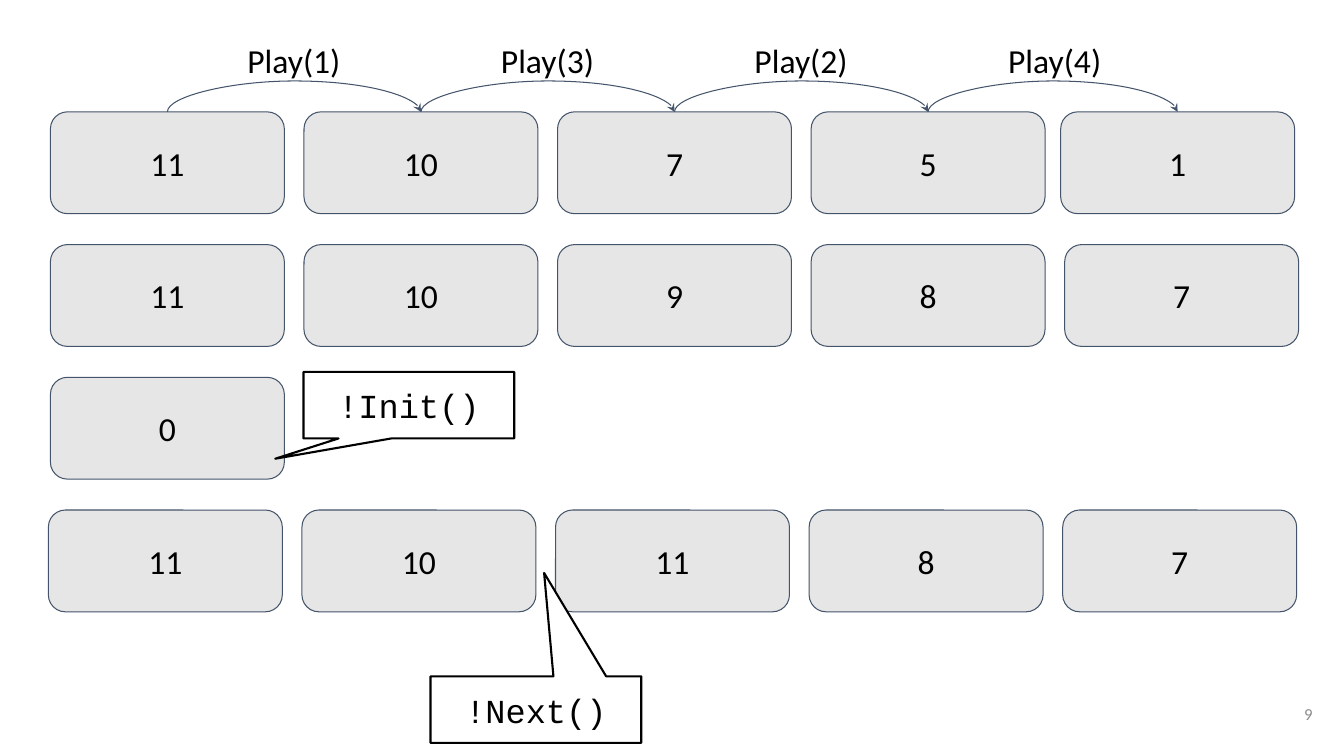
import dataclasses

import lxml.etree
import pptx
import pptx.dml.color
import pptx.enum.shapes
import pptx.enum.text
import pptx.oxml.ns
import pptx.util

Inches = pptx.util.Inches
Pt = pptx.util.Pt
Shape = pptx.enum.shapes.MSO_SHAPE
Align = pptx.enum.text.PP_ALIGN
Anchor = pptx.enum.text.MSO_ANCHOR
qn = pptx.oxml.ns.qn

WIDTH, HEIGHT = 2.32, 1.01
LEFT, TOP = 0.5, 1.11
STEP = (10.56 - LEFT) / 4
DROP = (5.06 - TOP) / 3
PAD = 0.13
RISE = 0.34
THIN = pptx.util.Emu(800)
INK, EDGE, GREY, WHITE = "000000", "44546A", "E7E6E6", "FFFFFF"


@dataclasses.dataclass
class Box:
    text: str
    left: float
    top: float


@dataclasses.dataclass
class Callout:
    text: str
    left: float
    top: float
    tip: tuple[float, float]


@dataclasses.dataclass
class Play:
    text: str
    left: float
    start: float
    end: float


def paint(hue: str) -> pptx.dml.color.RGBColor:
    return pptx.dml.color.RGBColor.from_string(hue)


def write(shape, text: str, font: str = "Calibri", size: int = 24, hue: str = INK,
          align=Align.CENTER, anchor=Anchor.MIDDLE, pad: float = PAD) -> None:
    frame = shape.text_frame
    frame.text = text
    frame.word_wrap = True
    frame.vertical_anchor = anchor
    frame.margin_left = frame.margin_right = Inches(pad)
    frame.margin_top = frame.margin_bottom = Inches(pad)
    line = frame.paragraphs[0]
    line.alignment = align
    run = line.runs[0]
    run.font.name = font
    run.font.size = Pt(size)
    run.font.color.rgb = paint(hue)


def add_shape(slide, kind, left: float, top: float, width: float, height: float,
              fill: str, edge: str, weight: float):
    shape = slide.shapes.add_shape(
        kind, Inches(left), Inches(top), Inches(width), Inches(height))
    shape.shadow.inherit = False
    shape.fill.solid()
    shape.fill.fore_color.rgb = paint(fill)
    shape.line.color.rgb = paint(edge)
    shape.line.width = Pt(weight)
    return shape


def add_box(slide, box: Box) -> None:
    shape = add_shape(slide, Shape.ROUNDED_RECTANGLE, box.left, box.top,
                      WIDTH, HEIGHT, GREY, EDGE, 0.75)
    write(shape, box.text, pad=0)


def add_callout(slide, note: Callout) -> None:
    shape = add_shape(slide, Shape.RECTANGULAR_CALLOUT, note.left, note.top,
                      2.09, 0.66, WHITE, INK, 1.5)
    shape.adjustments[0], shape.adjustments[1] = note.tip
    write(shape, note.text, font="Courier New")


def add_label(slide, text: str, left: float, top: float, width: float,
              height: float, **style) -> None:
    label = slide.shapes.add_textbox(
        Inches(left), Inches(top), Inches(width), Inches(height))
    write(label, text, **style)


def add_arc(slide, start: float, end: float) -> None:
    mid = Inches((start + end) / 2)
    half = Inches((end - start) / 2)
    arc = slide.shapes.add_connector(
        pptx.enum.shapes.MSO_CONNECTOR.CURVE,
        mid + THIN, Inches(TOP) - half, mid, Inches(TOP) + half)
    arc.line.color.rgb = paint(EDGE)
    arc.line.width = Pt(0.75)
    props = arc.element.spPr
    props.find(qn("a:xfrm")).set("rot", str(270 * 60000))
    guides = props.find(qn("a:prstGeom")).get_or_add_avLst()
    bend = -round(Inches(RISE) / THIN * 100000)
    lxml.etree.SubElement(guides, qn("a:gd"), name="adj1", fmla=f"val {bend}")
    lxml.etree.SubElement(props.find(qn("a:ln")), qn("a:tailEnd"), type="stealth")
    lxml.etree.SubElement(props, qn("a:effectLst"))


def add_play(slide, play: Play) -> None:
    add_label(slide, play.text, play.left, 0.27, 1.51, 0.62, anchor=Anchor.TOP)
    add_arc(slide, play.start, play.end)


def make_row(index: int, values: list[str], left: float = LEFT) -> list[Box]:
    return [Box(value, left + STEP * col, TOP + DROP * index)
            for col, value in enumerate(values)]


def main() -> None:
    deck = pptx.Presentation()
    deck.slide_width = Inches(13.33)
    deck.slide_height = Inches(7.5)
    slide = deck.slides.add_slide(deck.slide_layouts[6])

    game = make_row(0, ["11", "10", "7", "5", "1"])
    game[-1].left = 10.52
    rows = [
        game,
        make_row(1, ["11", "10", "9", "8", "7"]),
        make_row(2, ["0"]),
        make_row(3, ["11", "10", "11", "8", "7"], left=0.48),
    ]
    for row in rows:
        for box in row:
            add_box(slide, box)

    for col, move in enumerate([1, 3, 2, 4]):
        start, end = (box.left + WIDTH / 2 for box in game[col:col + 2])
        add_play(slide, Play(f"Play({move})", 2.16 + STEP * col, start, end))

    for note in [
        Callout("!Init()", 3.01, 3.69, (-0.634, 0.805)),
        Callout("!Next()", 4.27, 6.71, (0.039, -2.055)),
    ]:
        add_callout(slide, note)

    add_label(slide, "9", 12.35, 6.8, 0.8, 0.57, size=12, hue="8C8C8C",
              align=Align.RIGHT)
    deck.save("out.pptx")


if __name__ == "__main__":
    main()
